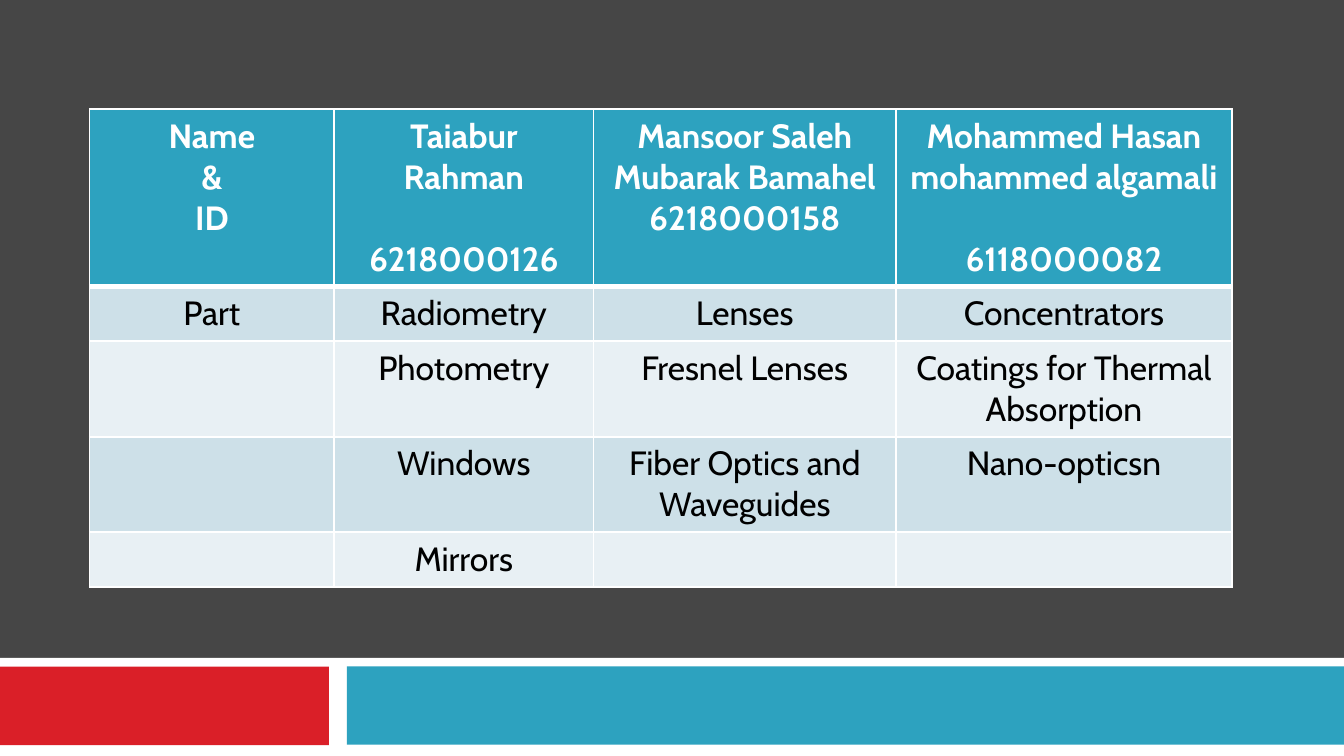
import pptx
import pptx.util
import pptx.dml.color
import pptx.enum.shapes
import pptx.enum.text
import pptx.oxml
import pptx.oxml.ns

Pt = pptx.util.Pt
RGB = pptx.dml.color.RGBColor
DARK = RGB(0x46, 0x46, 0x46)
WHITE = RGB(0xFF, 0xFF, 0xFF)
BLACK = RGB(0, 0, 0)
RED = RGB(0xDA, 0x1F, 0x28)
TEAL = RGB(0x2D, 0xA2, 0xBF)
BANDS = [RGB(0xE8, 0xF0, 0xF4), RGB(0xCD, 0xE0, 0xE8)]


def write(cell, text, color=BLACK, bold=False, gap=0):
    """Fill a cell line by line; gap is the space before its last line."""
    frame = cell.text_frame
    frame.text = text
    for para in frame.paragraphs:
        para.alignment = pptx.enum.text.PP_ALIGN.CENTER
        font = para.font
        for run in para.runs:
            font = run.font
            font.name, font.size, font.bold = "Cabin", Pt(18), bold
            font.color.rgb = color
    if gap:
        frame.paragraphs[-1].space_before = Pt(gap)


def border(cell, widths):
    """Draw white left, right, top and bottom borders."""
    props = cell._tc.get_or_add_tcPr()
    for spot, (side, width) in enumerate(zip("LRTB", widths)):
        props.insert(spot, pptx.oxml.parse_xml(
            f'<a:ln{side} {pptx.oxml.ns.nsdecls("a")} w="{Pt(width)}">'
            f'<a:solidFill><a:srgbClr val="{WHITE}"/></a:solidFill></a:ln{side}>'))


deck = pptx.Presentation()
deck.slide_width, deck.slide_height = Pt(720), Pt(405)
slide = deck.slides.add_slide(deck.slide_layouts[6])
slide.background.fill.solid()
slide.background.fill.fore_color.rgb = DARK

# Footer band with its two bars
for left, top, width, height, color in [
    (0, 352.5, 720, 52.5, WHITE),
    (-0.7, 357.2, 177, 42, RED),
    (185.8, 357, 534.2, 42, TEAL),
]:
    bar = slide.shapes.add_shape(
        pptx.enum.shapes.MSO_SHAPE.RECTANGLE,
        Pt(left), Pt(top), Pt(width), Pt(height))
    bar.shadow.inherit = False
    bar.fill.solid()
    bar.fill.fore_color.rgb = color
    bar.line.fill.background()

# Table of members and their topics
heads = [
    ("Name\n&\nID", 0),
    ("Taiabur Rahman\n6218000126", 22),
    ("Mansoor Saleh Mubarak Bamahel\n6218000158", 0),
    ("Mohammed Hasan mohammed algamali\n6118000082", 22),
]
topics = [
    ["Part", "Radiometry", "Lenses", "Concentrators"],
    ["", "Photometry", "Fresnel Lenses", "Coatings for Thermal Absorption"],
    ["", "Windows", "Fiber Optics and Waveguides", "Nano-opticsn"],
    ["", "Mirrors", "", ""],
]
table = slide.shapes.add_table(
    5, 4, Pt(48), Pt(58.5), Pt(612), Pt(146)).table
for col, width in zip(table.columns, [131, 139, 162, 180]):
    col.width = Pt(width)
for row in table.rows:
    row.height = Pt(29.2)

# Header row
for c, (text, gap) in enumerate(heads):
    cell = table.cell(0, c)
    write(cell, text, color=WHITE, bold=True, gap=gap)
    cell.fill.solid()
    cell.fill.fore_color.rgb = TEAL
    border(cell, [1, 1, 1, 3])

# Banded topic rows
for r, line in enumerate(topics, 1):
    for c, text in enumerate(line):
        cell = table.cell(r, c)
        write(cell, text)
        cell.fill.solid()
        cell.fill.fore_color.rgb = BANDS[r % 2]
        border(cell, [1, 1, 3 if r == 1 else 1, 1])

deck.save("out.pptx")
